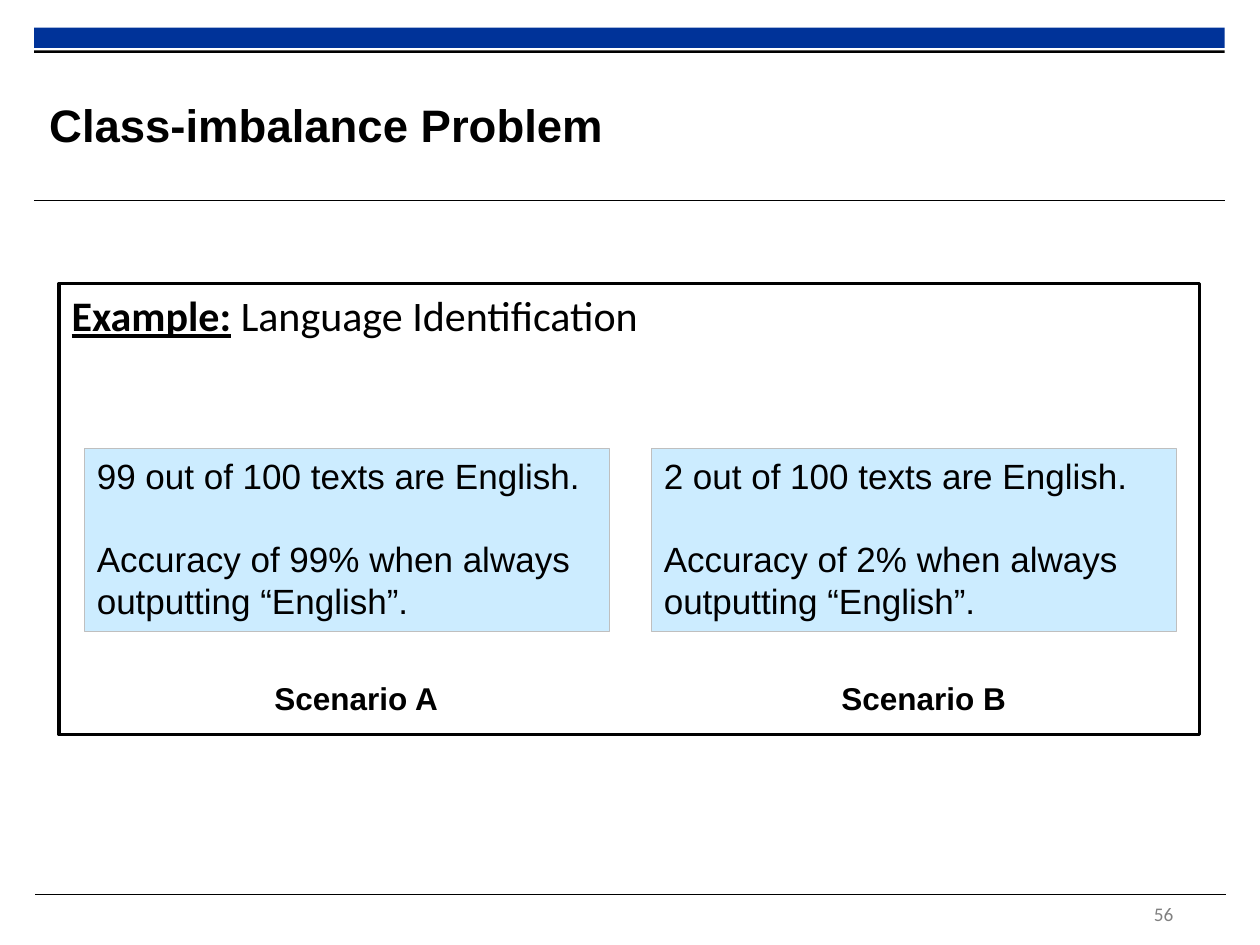
from pptx import Presentation
from pptx.dml.color import RGBColor
from pptx.enum.shapes import MSO_CONNECTOR, MSO_SHAPE
from pptx.enum.text import MSO_ANCHOR, PP_ALIGN
from pptx.oxml.ns import qn
from pptx.util import Inches, Pt
from lxml.etree import SubElement

TITLE = "Class-imbalance Problem"
EXAMPLE = ("Example:", " Language Identification")
SCENARIOS = [
    ("Scenario A", ["99 out of 100 texts are English.",
                    "Accuracy of 99% when always outputting “English”."]),
    ("Scenario B", ["2 out of 100 texts are English.",
                    "Accuracy of 2% when always outputting “English”."]),
]
PAGE = "56"
BARS = [(0.22, 0.16, "003399"), (0.4, 0.02, "000000")]  # top, height, colour
RULES = [(0.27, 1.59), (0.28, 7.1)]  # left, y
BAND_LEFT, BAND_WIDTH = 0.27, 9.45
CARD_LEFT, CARD_STEP, CARD_WIDTH = 0.67, 4.5, 4.17
LABEL_OFFSET = 1.41
BLANK_LINE = 23


def color(value):
    return RGBColor.from_string(value)


def add_box(left, top, width, height, fill, line=None, line_width=0.75):
    box = slide.shapes.add_shape(MSO_SHAPE.RECTANGLE, Inches(left), Inches(top),
                                 Inches(width), Inches(height))
    box.shadow.inherit = False
    box.fill.solid()
    box.fill.fore_color.rgb = color(fill)
    if line:
        box.line.color.rgb = color(line)
        box.line.width = Pt(line_width)
    else:
        box.line.fill.background()
    box.text_frame.vertical_anchor = MSO_ANCHOR.TOP
    return box


def add_rule(left, y):
    rule = slide.shapes.add_connector(
        MSO_CONNECTOR.STRAIGHT, Inches(left), Inches(y),
        Inches(left + BAND_WIDTH), Inches(y))
    rule.line.color.rgb = color("000000")
    rule.line.width = Pt(0.6)
    SubElement(rule._element.spPr, qn("a:effectLst"))


def add_text(left, top, width, height, text, size, wrap=True, **style):
    frame = slide.shapes.add_textbox(Inches(left), Inches(top), Inches(width),
                                     Inches(height)).text_frame
    frame.word_wrap = wrap
    frame.text = text
    format_paragraph(frame.paragraphs[0], size, **style)
    return frame


def format_paragraph(paragraph, size, name="Arial", fill="000000", bold=None):
    paragraph.alignment = PP_ALIGN.LEFT
    font = paragraph.font
    font.size, font.name, font.bold = Pt(size), name, bold
    font.color.rgb = color(fill)


prs = Presentation()
prs.slide_width, prs.slide_height = Inches(10), Inches(7.5)
slide = prs.slides.add_slide(prs.slide_layouts[6])

for top, height, fill in BARS:
    add_box(BAND_LEFT, top, BAND_WIDTH, height, fill)
for left, y in RULES:
    add_rule(left, y)
add_text(9.06, 7.11, 0.55, 0.31, PAGE, 11, name="Calibri", fill="808080")

title = add_text(0.39, 0.53, 7.11, 0.92, TITLE, 26, bold=True)
title.vertical_anchor = MSO_ANCHOR.MIDDLE
title.margin_left = title.margin_right = title.margin_top = title.margin_bottom = 0

example_box = add_box(0.47, 2.25, 9.05, 3.58, "FFFFFF", "000000", 2)
heading = example_box.text_frame.paragraphs[0]
format_paragraph(heading, 24, "Calibri")
lead, topic = (heading.add_run() for _ in EXAMPLE)
lead.text, topic.text = EXAMPLE
lead.font.bold = lead.font.underline = True

for index, (label, statements) in enumerate(SCENARIOS):
    left = CARD_LEFT + index * CARD_STEP
    card = add_box(left, 3.56, CARD_WIDTH, 1.45, "CCECFF", "BFBFBF").text_frame
    card.word_wrap = True
    card.text = "\n".join(statements)
    for paragraph in card.paragraphs:
        format_paragraph(paragraph, 20)
    card.paragraphs[1].space_before = Pt(BLANK_LINE)
    add_text(left + LABEL_OFFSET, 5.34, 1.51, 0.4, label, 18, wrap=False, bold=True)

prs.save("out.pptx")
